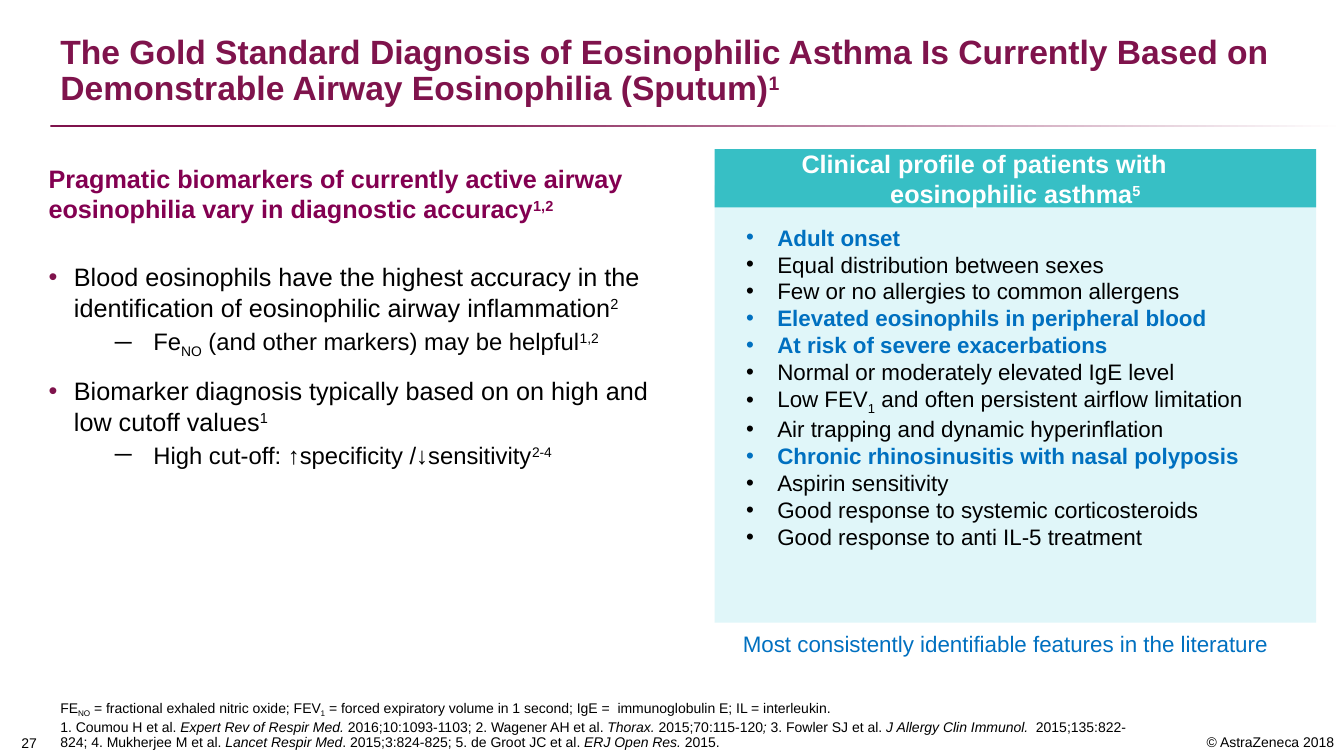
from lxml.etree import SubElement
from pptx import Presentation
from pptx.dml.color import RGBColor
from pptx.enum.shapes import MSO_SHAPE as Shape
from pptx.enum.text import MSO_ANCHOR as Anchor, MSO_AUTO_SIZE as AutoSize, PP_ALIGN as Align
from pptx.oxml.ns import qn
from pptx.util import Cm, Pt

PLUM, HEADING, TEAL, PALE = "7F134C", "830051", "37BFC5", "E0F6F9"
BLUE, BLACK, WHITE = "0070C0", "000000", "FFFFFF"
BASELINE = {"sup": "30000", "sub": "-25000"}


def colour(value):
    return RGBColor.from_string(value)


def place(shape, box):
    shape.left, shape.top, shape.width, shape.height = (Cm(v) for v in box)


def set_frame(shape, anchor=Anchor.TOP, wrap=True):
    frame = shape.text_frame
    frame.auto_size = AutoSize.NONE
    frame.word_wrap = wrap
    frame.vertical_anchor = anchor
    return frame


def add_text(slide, box, anchor=Anchor.TOP, wrap=True):
    return set_frame(slide.shapes.add_textbox(*(Cm(v) for v in box)), anchor, wrap)


def add_block(slide, box, fill):
    block = slide.shapes.add_shape(Shape.RECTANGLE, *(Cm(v) for v in box))
    block.shadow.inherit = False
    block.line.fill.background()
    if fill:
        block.fill.solid()
        block.fill.fore_color.rgb = colour(fill)
    return block


def next_paragraph(frame):
    first = frame.paragraphs[0]
    return first if not first.runs else frame.add_paragraph()


def set_bullet(paragraph, mark=None, left=0, hanging=0, mark_colour=None):
    props = paragraph._p.get_or_add_pPr()
    props.set("marL", str(Cm(left)))
    props.set("indent", str(-Cm(hanging)))
    if mark_colour:
        SubElement(SubElement(props, qn("a:buClr")), qn("a:srgbClr"), val=mark_colour)
    if mark:
        SubElement(props, qn("a:buFont"), typeface="Arial")
        SubElement(props, qn("a:buChar"), char=mark)
    else:
        SubElement(props, qn("a:buNone"))


def write(paragraph, pieces, size, tint=BLACK, bold=False, before=0, align=Align.LEFT, line=1.0):
    """Each piece is plain text or a (text, style) pair: sup, sub or italic."""
    paragraph.alignment = align
    paragraph.space_before = Pt(before)
    paragraph.line_spacing = line
    for piece in pieces:
        words, style = (piece, None) if isinstance(piece, str) else piece
        run = paragraph.add_run()
        run.text = words
        font = run.font
        font.name, font.size, font.bold = "Arial", Pt(size), bold
        font.italic = style == "italic"
        font.color.rgb = colour(tint)
        if style in BASELINE:
            run._r.get_or_add_rPr().set("baseline", BASELINE[style])


def build_title(slide, box):
    left, top, width, height = box
    title = slide.shapes.title
    place(title, box)
    write(set_frame(title, Anchor.BOTTOM).paragraphs[0],
          ["The Gold Standard Diagnosis of Eosinophilic Asthma Is Currently Based on "
           "Demonstrable Airway Eosinophilia (Sputum)", ("1", "sup")],
          24, PLUM, bold=True, line=0.9)
    # Fading rule under the title, running to the slide edge
    rule = add_block(slide, (left, top + height + 0.3, 33.87 - left, 0.05), None)
    rule.fill.gradient()
    rule.fill.gradient_angle = 0
    for stop, position, tint in zip(rule.fill.gradient_stops, (0.26, 1), (PLUM, WHITE)):
        stop.position = position
        stop.color.rgb = colour(tint)


def build_biomarkers(body, box):
    place(body, box)
    frame = set_frame(body)
    heading = next_paragraph(frame)
    set_bullet(heading)
    write(heading, ["Pragmatic biomarkers of currently active airway eosinophilia "
                    "vary in diagnostic accuracy", ("1,2", "sup")], 18, HEADING, bold=True)
    findings = [
        (27, ["Blood eosinophils have the highest accuracy in the identification of "
              "eosinophilic airway inflammation", ("2", "sup")],
         ["Fe", ("NO", "sub"), " (and other markers) may be helpful", ("1,2", "sup")]),
        (12, ["Biomarker diagnosis typically based on on high and low cutoff values",
              ("1", "sup")],
         ["High cut-off: ↑specificity /↓sensitivity", ("2-4", "sup")]),
    ]
    for gap, finding, detail in findings:
        point = next_paragraph(frame)
        set_bullet(point, "•", 0.64, 0.64, PLUM)
        write(point, finding, 18, before=gap)
        subpoint = next_paragraph(frame)
        subpoint.level = 1
        set_bullet(subpoint, "─", 2.64, 0.97, BLACK)
        write(subpoint, detail, 17, before=3)


def build_profile(slide, body, box):
    left, top, width, height = box
    # Pale panel holding the feature list
    place(body, (left, top + 0.91, width, height - 0.91))
    body.fill.solid()
    body.fill.fore_color.rgb = colour(PALE)
    frame = set_frame(body)
    frame.margin_left, frame.margin_top, frame.margin_right = Cm(0.79), Cm(0.97), Cm(1.85)
    features = [
        (["Adult onset"], True),
        (["Equal distribution between sexes"], False),
        (["Few or no allergies to common allergens"], False),
        (["Elevated eosinophils in peripheral blood"], True),
        (["At risk of severe exacerbations"], True),
        (["Normal or moderately elevated IgE level"], False),
        (["Low FEV", ("1", "sub"), " and often persistent airflow limitation"], False),
        (["Air trapping and dynamic hyperinflation"], False),
        (["Chronic rhinosinusitis with nasal polyposis"], True),
        (["Aspirin sensitivity"], False),
        (["Good response to systemic corticosteroids"], False),
        (["Good response to anti IL-5 treatment"], False),
    ]
    for feature, consistent in features:
        tint = BLUE if consistent else BLACK
        point = next_paragraph(frame)
        set_bullet(point, "•", 0.79, 0.79, tint)
        write(point, feature, 16, tint, bold=consistent)

    # Header band: its first line sits a little left of centre
    offset = 1.57
    header = set_frame(add_block(slide, (left, top, width, 1.47), TEAL), Anchor.MIDDLE)
    header.margin_right = Cm(0.25 + offset)
    for words, indent in ((["Clinical profile of patients with"], 0),
                          (["eosinophilic asthma", ("5", "sup")], offset)):
        line = next_paragraph(header)
        set_bullet(line, left=indent)
        write(line, words, 18, WHITE, bold=True, align=Align.CENTER)

    # Key to the blue features
    key = add_text(slide, (left + 0.46, top + height + 0.06, 13.92, 0.94), wrap=False)
    write(key.paragraphs[0], ["Most consistently identifiable features in the literature"],
          16, BLUE)


def build_references(slide, box):
    frame = add_text(slide, box, Anchor.BOTTOM)
    abbreviations = ["FE", ("NO", "sub"), " = fractional exhaled nitric oxide; FEV", ("1", "sub"),
                     " = forced expiratory volume in 1 second; IgE =  immunoglobulin E; "
                     "IL = interleukin."]
    citations = ["1. Coumou H et al. ", ("Expert Rev of Respir Med. ", "italic"),
                 "2016;10:1093-1103; 2. Wagener AH et al. ", ("Thorax. ", "italic"),
                 "2015;70:115-120", ("; ", "italic"), "3. Fowler SJ et al. ",
                 ("J Allergy Clin Immunol. ", "italic"),
                 " 2015;135:822-824; 4. Mukherjee M et al. ", ("Lancet Respir Med", "italic"),
                 ". 2015;3:824-825; 5. de Groot JC et al. ", ("ERJ Open Res. ", "italic"),
                 "2015."]
    for pieces, gap in ((abbreviations, 0), (citations, 3)):
        write(next_paragraph(frame), pieces, 10, before=gap, line=0.9)


def build_footer(slide, box):
    left, top, width, height = box
    number = add_text(slide, (left, top, 1.35, height), Anchor.BOTTOM)
    number.margin_right = Cm(0.13)
    write(number.paragraphs[0], ["27"], 10, align=Align.CENTER)
    rights = add_text(slide, (left + width - 5.64, top + 0.05, 5.64, height - 0.05))
    write(rights.paragraphs[0], ["© AstraZeneca 2018"], 10, align=Align.RIGHT)


def main():
    deck = Presentation()
    deck.slide_width, deck.slide_height = Cm(33.87), Cm(19.05)
    slide = deck.slides.add_slide(deck.slide_layouts[3])
    biomarkers, profile = slide.placeholders[1], slide.placeholders[2]
    build_title(slide, (1.27, 0.64, 31.32, 2.21))
    build_biomarkers(biomarkers, (0.97, 3.99, 15.88, 8.86))
    build_profile(slide, profile, (18.01, 3.76, 15.16, 11.93))
    build_references(slide, (1.27, 16.26, 27.38, 2.79))
    build_footer(slide, (0, 18.31, 33.87, 0.74))
    deck.save("out.pptx")


if __name__ == "__main__":
    main()
